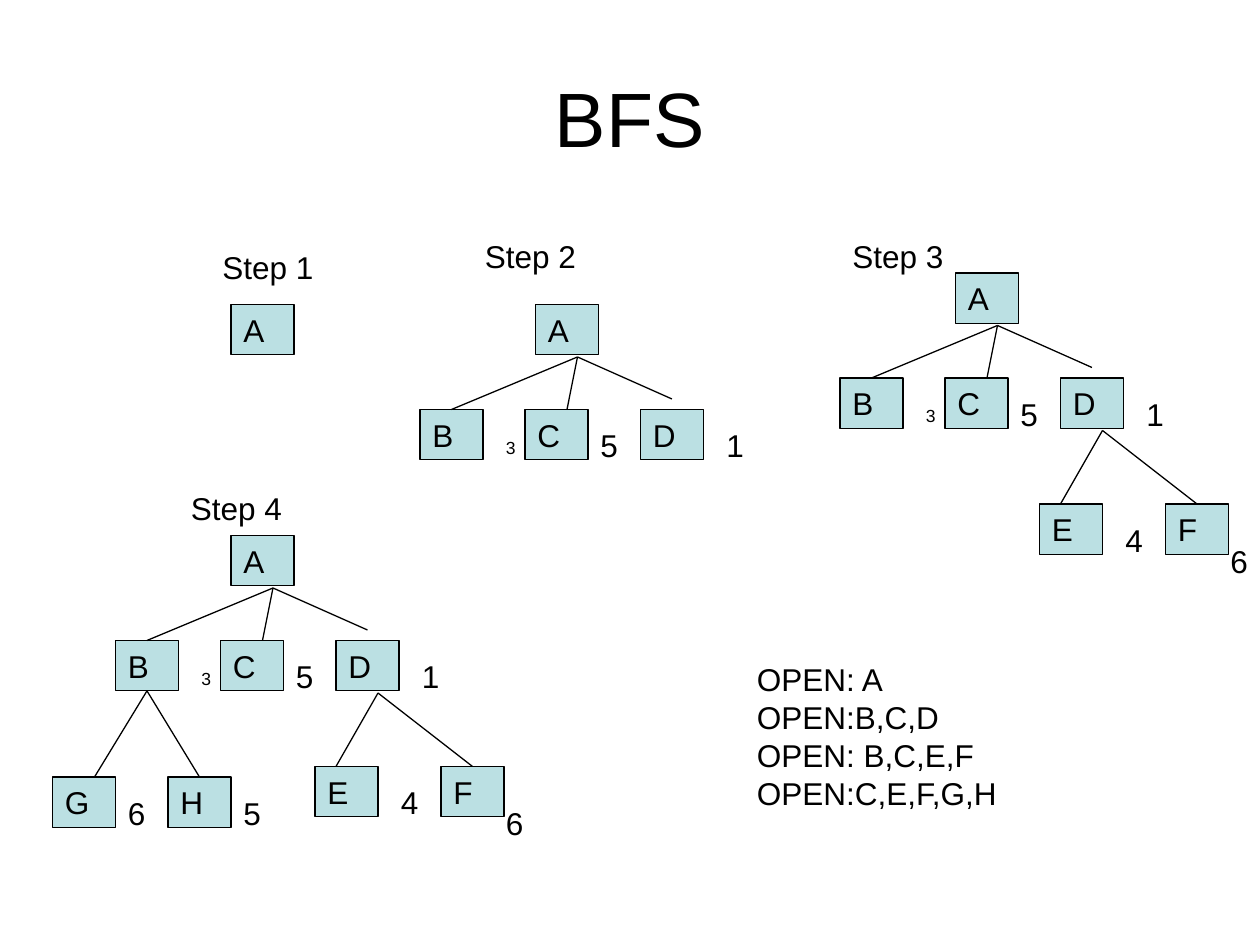
from lxml import etree
from pptx import Presentation
from pptx.dml.color import RGBColor
from pptx.enum import shapes as kinds, text as te
from pptx.oxml.ns import qn
from pptx.util import Pt

BLACK = RGBColor(0, 0, 0)
TEAL = RGBColor(0xBB, 0xE0, 0xE3)
FONT = "Arial"
WIDE, HIGH = 36, 28.8    # node box
GAP = 1.2                # gap between a box and the line below it

# Tree parts, in points from the top left corner of node A
ROOT = {"nodes": [("A", 0, 0)], "lines": [], "costs": []}
FIRST = {
    "nodes": [("B", -66, 60), ("C", -6, 60), ("D", 60, 60)],
    "lines": [((24, 30), (-48, 60)), ((24, 30), (18, 60)),
              ((24, 30), (78, 54))],
    # text, left, top, width, size
    "costs": [("3", -24, 72, 18, 10), ("5", 30, 66, 24, 18),
              ("1", 102, 66, 24, 18)],
}
UNDER_D = {
    "nodes": [("E", 48, 132), ("F", 120, 132)],
    "lines": [((84, 90), (60, 132)), ((84, 90), (138, 132))],
    "costs": [("4", 90, 138, 24, 18), ("6", 150, 150, 24, 18)],
}
UNDER_B = {
    "nodes": [("G", -102, 138), ("H", -36, 138)],
    "lines": [((-48, 90), (-78, 138)), ((-48, 90), (-18, 138))],
    "costs": [("6", -66, 144, 30, 18), ("5", 0, 144, 30, 18)],
}

# Label, label place, place of node A, parts
STEPS = [
    ("Step 1", (120, 138), (132, 174), [ROOT]),
    ("Step 2", (270, 132), (306, 174), [ROOT, FIRST]),
    ("Step 3", (480, 132), (546, 156), [ROOT, FIRST, UNDER_D]),
    ("Step 4", (102, 276), (132, 306), [ROOT, FIRST, UNDER_D, UNDER_B]),
]
OPEN = ["OPEN: A", "OPEN:B,C,D", "OPEN: B,C,E,F", "OPEN:C,E,F,G,H"]


def write(shape, lines, size=18, before=0.0, wrap=True):
    frame = shape.text_frame
    frame.text = "\n".join(lines)
    frame.word_wrap = wrap
    frame.auto_size = te.MSO_AUTO_SIZE.SHAPE_TO_FIT_TEXT
    frame.vertical_anchor = te.MSO_ANCHOR.TOP
    for para in frame.paragraphs:
        para.alignment = te.PP_ALIGN.LEFT
        para.space_before = Pt(before)
        para.font.name = FONT
        para.font.size = Pt(size)
        para.font.color.rgb = BLACK
    return frame


def label(home, words, x, y, wide, size=18):
    box = home.add_textbox(Pt(x), Pt(y), Pt(wide), Pt(size * 1.2 + 7.2))
    write(box, [words], size, round(size * 0.62, 1))


def node(home, name, x, y):
    box = home.add_shape(kinds.MSO_SHAPE.RECTANGLE,
                         Pt(x), Pt(y), Pt(WIDE), Pt(HIGH))
    box.shadow.inherit = False
    box.fill.solid()
    box.fill.fore_color.rgb = TEAL
    box.line.color.rgb = BLACK
    box.line.width = Pt(0.75)
    write(box, [name], before=11.2)
    return box


def edge(home, start, end, tops, feet):
    line = home.add_connector(kinds.MSO_CONNECTOR.STRAIGHT,
                              *(Pt(v) for v in start + end))
    line.line.color.rgb = BLACK
    line.line.width = Pt(0.75)
    etree.SubElement(line._element.spPr, qn("a:effectLst"))
    if start in feet:
        line.begin_connect(feet[start], 2)
    if end in tops:
        line.end_connect(tops[end], 0)


def tree(home, left, top, parts):
    tops, feet = {}, {}    # side middles of the boxes drawn so far
    for part in parts:
        for name, x, y in part["nodes"]:
            x, y = left + x, top + y
            box = node(home, name, x, y)
            mid = x + WIDE // 2
            tops[mid, y] = box
            feet[mid, round(y + HIGH + GAP)] = box
        for (x1, y1), (x2, y2) in part["lines"]:
            edge(home, (left + x1, top + y1), (left + x2, top + y2),
                 tops, feet)
        for words, x, y, wide, size in part["costs"]:
            label(home, words, left + x, top + y, wide, size)


def main():
    deck = Presentation()
    deck.slide_width, deck.slide_height = Pt(720), Pt(540)
    slide = deck.slides.add_slide(deck.slide_layouts[6])
    home = slide.shapes

    # Title
    title = home.add_textbox(Pt(36), Pt(21.6), Pt(648), Pt(90))
    frame = write(title, ["BFS"], 44)
    frame.auto_size = te.MSO_AUTO_SIZE.NONE
    frame.vertical_anchor = te.MSO_ANCHOR.MIDDLE
    frame.paragraphs[0].alignment = te.PP_ALIGN.CENTER

    # Steps
    for words, (x, y), _, _ in STEPS:
        label(home, words, x, y, 90)
    for _, _, (x, y), parts in STEPS:
        nest = home.add_group_shape().shapes if len(parts) > 1 else home
        tree(nest, x, y, parts)

    # Open list after each step
    box = home.add_textbox(Pt(425.5), Pt(373.7), Pt(153.4), Pt(93.6))
    write(box, OPEN, wrap=False)

    deck.save("out.pptx")


if __name__ == "__main__":
    main()
